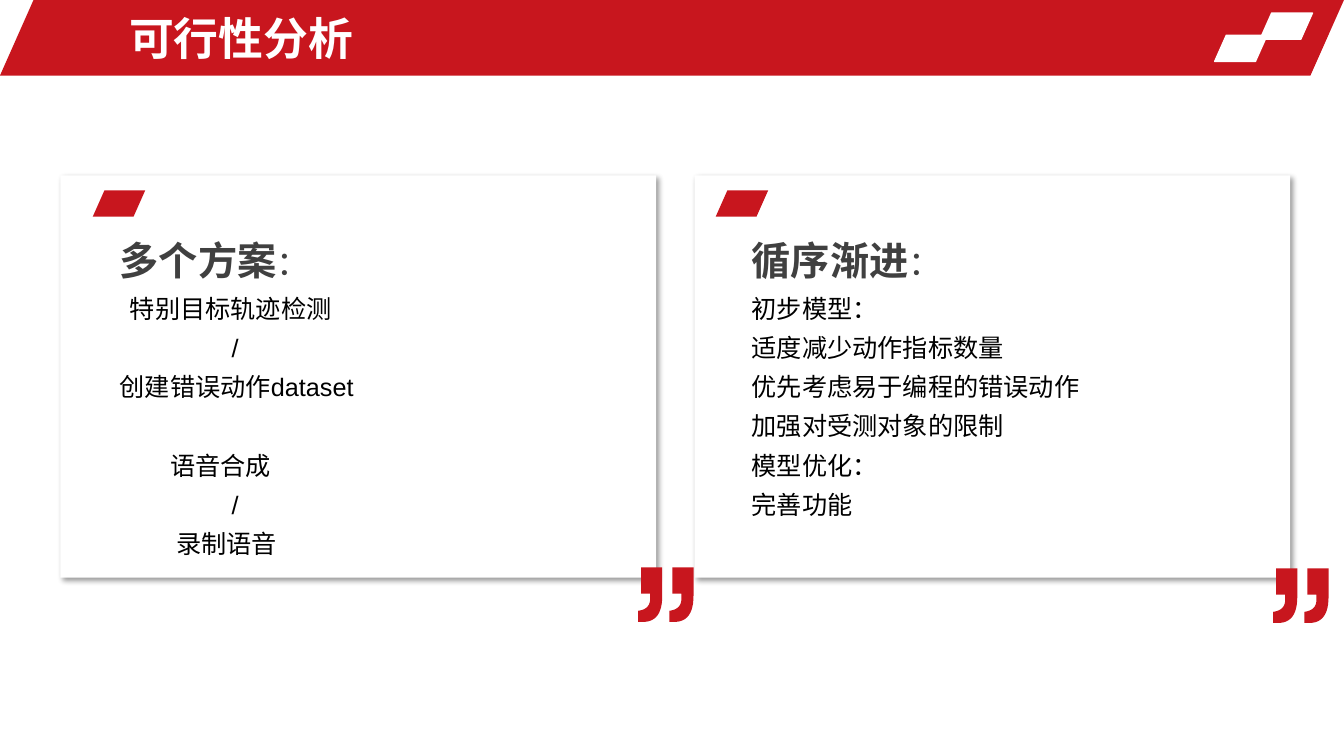
from dataclasses import dataclass

from lxml import etree
from pptx import Presentation
from pptx.dml.color import RGBColor
from pptx.enum.shapes import MSO_SHAPE
from pptx.enum.text import MSO_ANCHOR, MSO_AUTO_SIZE, PP_ALIGN
from pptx.oxml.ns import qn
from pptx.util import Inches, Pt

RECT, SLANT = MSO_SHAPE.RECTANGLE, MSO_SHAPE.PARALLELOGRAM
MIDDLE, LEFT, FIXED = MSO_ANCHOR.MIDDLE, PP_ALIGN.LEFT, MSO_AUTO_SIZE.NONE

RED = RGBColor(0xC8, 0x16, 0x1E)
WHITE = RGBColor(0xFF, 0xFF, 0xFF)
GREY = RGBColor(0x40, 0x40, 0x40)
BLACK = RGBColor(0, 0, 0)
FONT = "Arial"

# Grid of square cells, ten to the inch
COLS, ROWS = 133.33, 75
CARD_TOP, CARD_W, CARD_H = 17.4, 59.1, 39.9
CHIP_W, CHIP_H = 5.2, 2.6
TEXT_W = 50.6
MARK_GAP = 3.1


def cell(count: float) -> int:
    return Inches(count / 10)


@dataclass
class Line:
    text: str
    indent: float = 0
    before: float = 0


@dataclass
class Card:
    left: float
    chip: float
    text: float
    text_h: float
    quote: tuple[float, float]
    head: str
    lines: list[Line]


CARDS = [
    Card(68.9, 71, 73.6, 30.4, (126.3, 56.4), "循序渐进", [
        Line("初步模型："),
        Line("适度减少动作指标数量"),
        Line("优先考虑易于编程的错误动作"),
        Line("加强对受测对象的限制"),
        Line("模型优化："),
        Line("完善功能"),
    ]),
    Card(6, 9.2, 10.9, 38.2, (63.3, 56.3), "多个方案", [
        Line("特别目标轨迹检测", 1),
        Line("/", 11.1),
        Line("创建错误动作dataset"),
        Line("语音合成", 5, 28),
        Line("/", 11.1),
        Line("录制语音", 5.6),
    ]),
]


def block(kind: int, left: float, top: float, wide: float, high: float,
          fill: RGBColor):
    shape = slide.shapes.add_shape(
        kind, cell(left), cell(top), cell(wide), cell(high))
    shape.shadow.inherit = False
    shape.fill.solid()
    shape.fill.fore_color.rgb = fill
    shape.line.fill.background()
    if kind == SLANT:
        shape.adjustments[0] = 0.444
    return shape


def shade(shape) -> None:
    effects = shape._element.spPr.find(qn("a:effectLst"))
    outer = etree.SubElement(
        effects, qn("a:outerShdw"), blurRad=str(Pt(4)), dist=str(Pt(3)),
        dir=str(45 * 60000), algn="tl", rotWithShape="0")
    color = etree.SubElement(outer, qn("a:srgbClr"), val=str(BLACK))
    etree.SubElement(color, qn("a:alpha"), val="40000")


def curve(*knots: tuple[float, float]) -> list[tuple[float, float]]:
    """Points along a cubic curve, without its start."""
    points = []
    for step in range(1, 13):
        t = step / 12
        parts = ((1 - t) ** 3, 3 * t * (1 - t) ** 2,
                 3 * t * t * (1 - t), t ** 3)
        points.append(tuple(
            sum(part * knot[axis] for part, knot in zip(parts, knots))
            for axis in (0, 1)))
    return points


MARK = [
    (0.3, 0), (0.3, 2.6), (1.2, 2.6), (1.2, 3.1),
    *curve((1.2, 3.1), (1.2, 3.8), (0.8, 4.2), (0, 4.3)),
    (0, 5.4), (0.5, 5.4),
    *curve((0.5, 5.4), (1.8, 5.4), (2.4, 4.5), (2.4, 2.8)),
    (2.4, 0),
]


def quote(left: float, top: float) -> None:
    marks = [[(cell(left + shift + x), cell(top + y)) for x, y in MARK]
             for shift in (0, MARK_GAP)]
    first, second = marks
    build = slide.shapes.build_freeform(*first[0])
    build.add_line_segments(first[1:], close=True)
    build.move_to(*second[0])
    build.add_line_segments(second[1:], close=True)
    shape = build.convert_to_shape()
    shape.shadow.inherit = False
    shape.fill.solid()
    shape.fill.fore_color.rgb = RED
    shape.line.fill.background()


def write(card: Card) -> None:
    box = slide.shapes.add_textbox(
        cell(card.text), cell(21.6), cell(TEXT_W), cell(card.text_h))
    frame = box.text_frame
    frame.word_wrap = True
    head = frame.paragraphs[0]
    head.line_spacing = 1.3
    head.font.name, head.font.color.rgb = FONT, GREY
    for text, size, bold in ((card.head, 28, True), ("：", 24, False)):
        run = head.add_run()
        run.text = text
        run.font.size, run.font.bold = Pt(size), bold
    for line in card.lines:
        para = frame.add_paragraph()
        para.text = line.text
        para.line_spacing = 1.3
        if line.before:
            para.space_before = Pt(line.before)
        if line.indent:
            para._p.get_or_add_pPr().set("marL", str(cell(line.indent)))
        para.font.name, para.font.size = FONT, Pt(18)
        para.font.color.rgb = BLACK


deck = Presentation()
deck.slide_width, deck.slide_height = cell(COLS), cell(ROWS)
slide = deck.slides.add_slide(deck.slide_layouts[5])

# Banner with two white chips
block(SLANT, 0, 0, COLS, 7.5, RED)
for left, top in ((125, 1.3), (120.5, 3.5)):
    chip = block(SLANT, left, top, CHIP_W, CHIP_H, WHITE)
    chip.line.color.rgb = WHITE
    chip.line.width = Pt(1)

# Title, raised above the banner
title = slide.shapes.title
title.left, title.top = cell(11.8), cell(0.5)
title.width, title.height = cell(77.4), cell(6.5)
frame = title.text_frame
frame.text = "可行性分析"
frame.auto_size, frame.vertical_anchor = FIXED, MIDDLE
para = frame.paragraphs[0]
para.alignment = LEFT
para.font.name, para.font.size, para.font.bold = FONT, Pt(32), True
para.font.color.rgb = WHITE
slide.shapes._spTree.append(title._element)

# Cards
for card in CARDS:
    shade(block(RECT, card.left, CARD_TOP, CARD_W, CARD_H, WHITE))
    block(SLANT, card.chip, 18.9, CHIP_W, CHIP_H, RED)
    quote(*card.quote)
    write(card)

deck.save("out.pptx")
